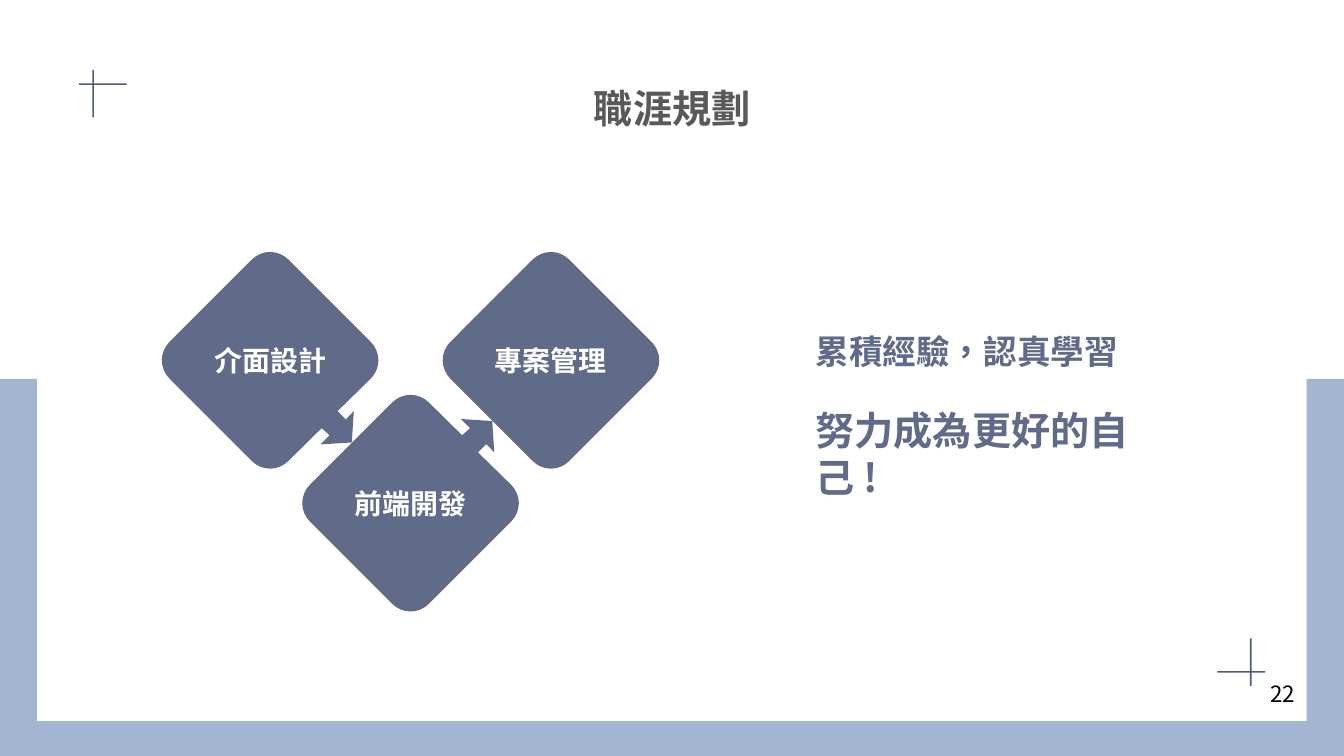
from math import cos, radians, sin

from lxml import etree
from pptx import Presentation
from pptx import util as u
from pptx.dml.color import RGBColor
from pptx.enum import lang, shapes, text
from pptx.oxml.ns import qn

FONT = "Noto Sans CJK SC"
FRAME_BLUE = RGBColor(0xA2, 0xB6, 0xD1)
WHITE = RGBColor(0xFF, 0xFF, 0xFF)
BLACK = RGBColor(0, 0, 0)
CROSS_BLUE = RGBColor(0x50, 0x5B, 0x79)
SLATE = RGBColor(0x60, 0x6B, 0x89)
TITLE_GREY = RGBColor(0x59, 0x59, 0x59)

deck = Presentation()
deck.slide_width, deck.slide_height = u.Cm(33.88), u.Cm(19.05)
slide = deck.slides.add_slide(deck.slide_layouts[6])


def draw_outline(center, points, color, curves=()):
    """Draw a filled outline in cm around its center; curves lists where Béziers start."""
    spots = [(u.Cm(center[0] + x), u.Cm(center[1] + y)) for x, y in points]
    builder = slide.shapes.build_freeform(*spots[0])
    builder.add_line_segments(spots[1:], close=True)
    outline = builder.convert_to_shape()
    segments = list(outline._element.iter(qn("a:lnTo")))
    for start in curves:
        bend = etree.Element(qn("a:cubicBezTo"))
        segments[start].addprevious(bend)
        for segment in segments[start:start + 3]:
            bend.append(segment[0])
            segment.getparent().remove(segment)
    outline.shadow.inherit = False
    outline.fill.solid()
    outline.fill.fore_color.rgb = color
    outline.line.fill.background()
    return outline


def write(shape, words, size, color, align, bold=True):
    frame = shape.text_frame
    frame.word_wrap = True
    frame.text = words
    paragraph = frame.paragraphs[0]
    paragraph.alignment = align
    run = paragraph.runs[0]
    run.font.name, run.font.size, run.font.bold = FONT, u.Pt(size), bold
    run.font.color.rgb = color
    run.font.language_id = lang.MSO_LANGUAGE_ID.TRADITIONAL_CHINESE
    east_asian = etree.SubElement(run.font._element, qn("a:ea"))
    east_asian.set("typeface", FONT)


# Blue frame with the white page on top
for left, top, width, height, color in [
    (0, 9.55, 33.88, 9.5, FRAME_BLUE),
    (0.94, 0.89, 32, 17.28, WHITE),
]:
    panel = slide.shapes.add_shape(
        shapes.MSO_SHAPE.RECTANGLE, u.Cm(left), u.Cm(top), u.Cm(width), u.Cm(height))
    panel.shadow.inherit = False
    panel.fill.solid()
    panel.fill.fore_color.rgb = color
    panel.line.fill.background()

# Corner crosses, the second one turned by half a circle
SHORT, LONG, HALF = -0.36, 0.84, 0.02
cross = [
    (-HALF, SHORT), (HALF, SHORT), (HALF, -HALF), (LONG, -HALF),
    (LONG, HALF), (HALF, HALF), (HALF, LONG), (-HALF, LONG),
    (-HALF, HALF), (SHORT, HALF), (SHORT, -HALF), (-HALF, -HALF),
]
for center, turn in [((2.35, 2.12), 1), ((31.53, 16.93), -1)]:
    draw_outline(center, [(turn * x, turn * y) for x, y in cross], CROSS_BLUE)

# Career steps: rounded diamonds, with an arrow on the lower right edge
REACH, RADIUS, HANDLE = 2.08, 0.65, 0.17
arrow = [(1.7, 1.28), (1.91, 1.49), (2.11, 1.28), (2.06, 2.07),
         (1.27, 2.12), (1.5, 1.89), (1.3, 1.71)]
plain = []
for corner in range(0, 360, 90):
    for turn, pull in [(-45, 0), (-45, 1), (0, -1), (0, 0), (0, 1), (45, -1), (45, 0)]:
        angle = radians(corner + turn)
        x = RADIUS * cos(angle) - pull * HANDLE * sin(angle)
        y = RADIUS * sin(angle) + pull * HANDLE * cos(angle)
        plain.append((REACH * cos(radians(corner)) + x, REACH * sin(radians(corner)) + y))
per_corner = len(plain) // 4
pointing_down = plain[:per_corner] + arrow + plain[per_corner:]
pointing_up = [(x, -y) for x, y in pointing_down]

for step, center, points in [
    ("介面設計", (6.81, 9.08), pointing_down),
    ("專案管理", (13.89, 9.08), plain),
    ("前端開發", (10.35, 12.68), pointing_up),
]:
    arrow_size = len(points) - len(plain)
    curves = [corner * per_corner + half + (arrow_size if corner else 0)
              for corner in range(4) for half in (0, 3)]
    diamond = draw_outline(center, points, SLATE, curves)
    diamond.text_frame.vertical_anchor = text.MSO_ANCHOR.MIDDLE
    write(diamond, step, 20, WHITE, text.PP_ALIGN.CENTER)

# Title, page number and motto, each with its right margin
LEFT, CENTER, RIGHT = text.PP_ALIGN.LEFT, text.PP_ALIGN.CENTER, text.PP_ALIGN.RIGHT
for words, left, top, width, height, margin, size, color, align, bold in [
    ("職涯規劃", 12.46, 2.01, 8.97, 1.27, 0.25, 28, TITLE_GREY, CENTER, True),
    ("22", 25.04, 17.02, 7.9, 1.32, 0.3, 16, BLACK, RIGHT, False),
    ("累積經驗，認真學習", 20.31, 8.22, 8.41, 1.27, 0.25, 24, SLATE, LEFT, True),
    ("努力成為更好的自己 !", 20.31, 10.11, 10.03, 1.45, 1.1, 28, SLATE, LEFT, True),
]:
    box = slide.shapes.add_textbox(u.Cm(left), u.Cm(top), u.Cm(width), u.Cm(height))
    box.text_frame.margin_right = u.Cm(margin)
    write(box, words, size, color, align, bold)

deck.save("out.pptx")
